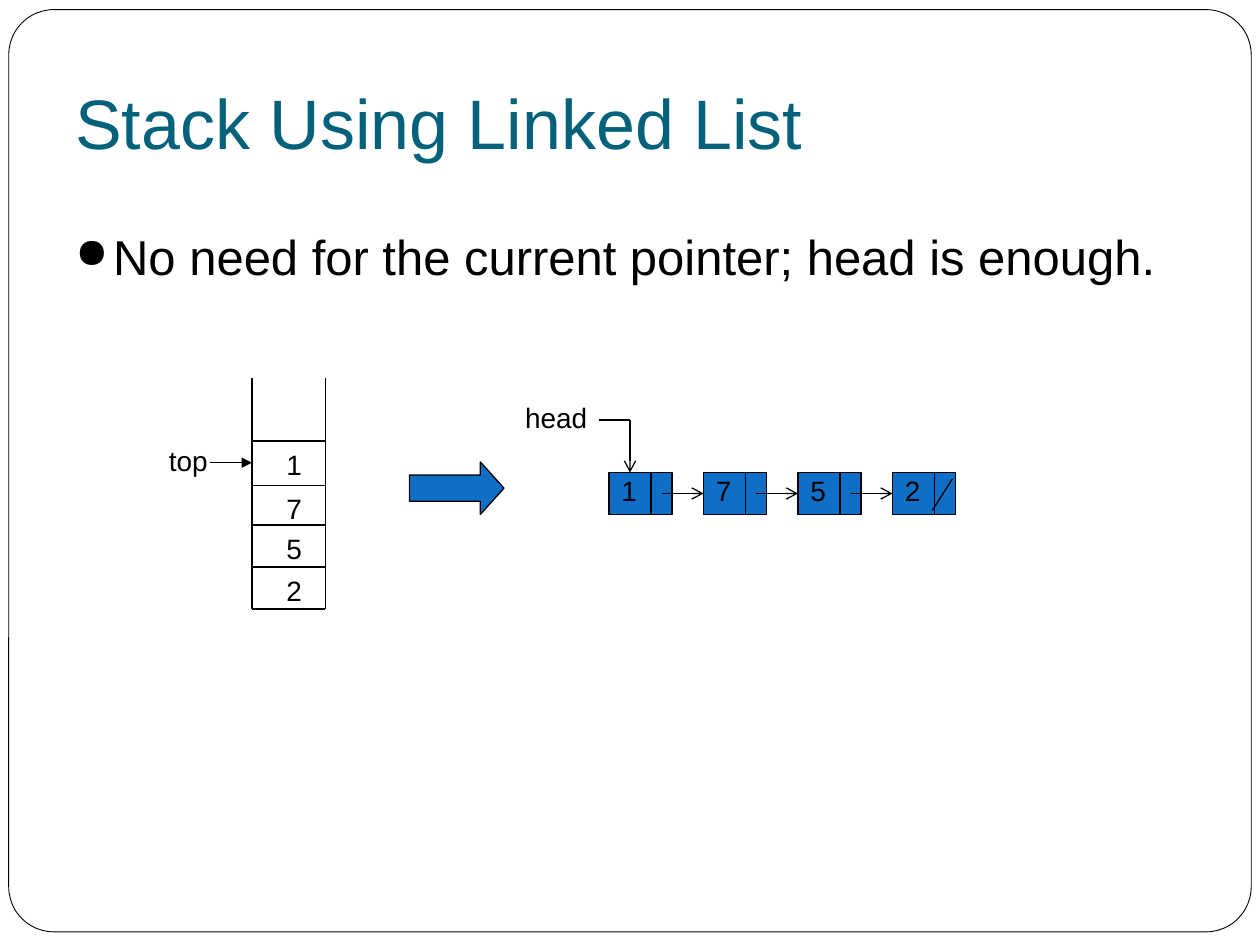
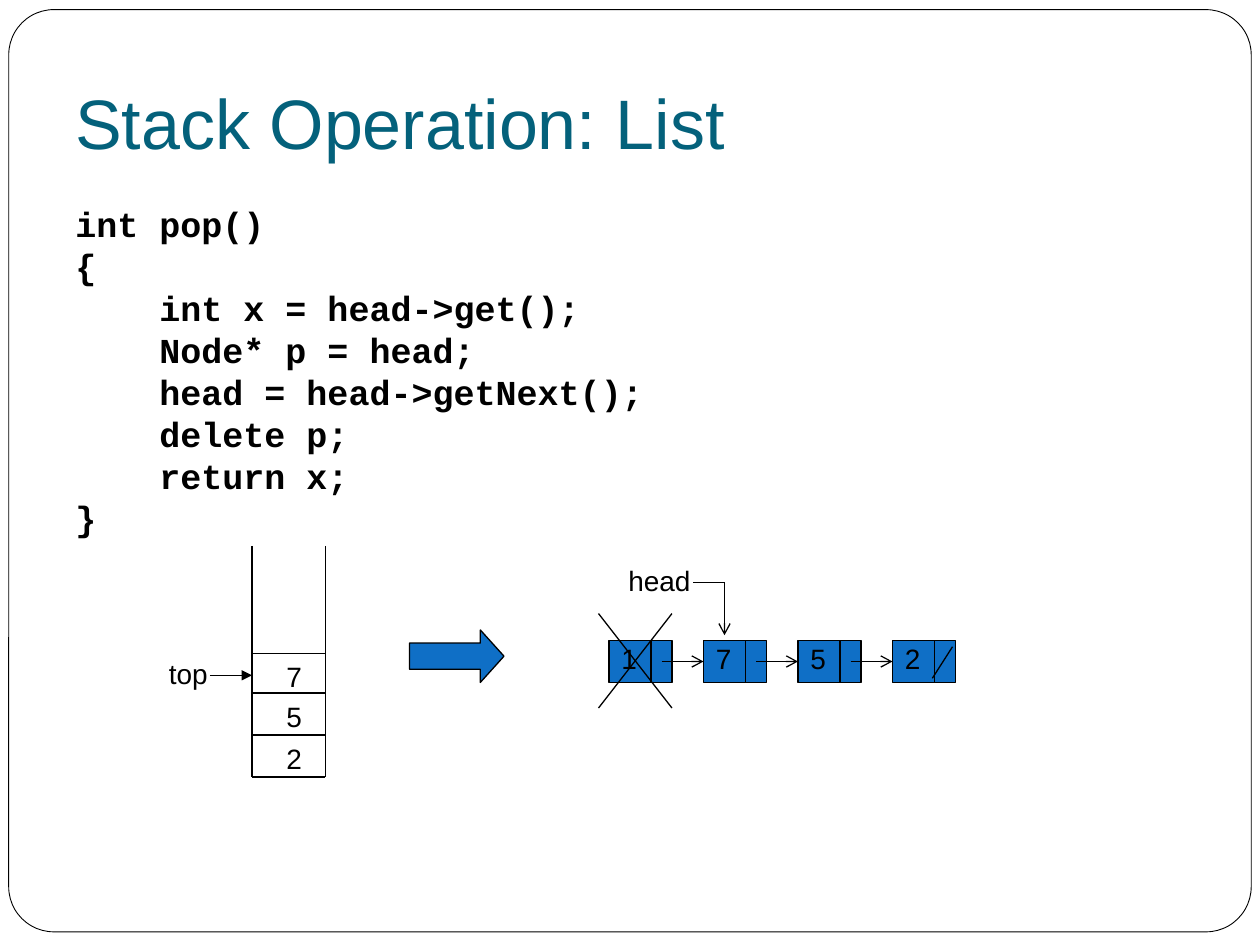
from lxml import etree
from pptx import Presentation
from pptx.dml.color import RGBColor
from pptx.enum.shapes import MSO_CONNECTOR, MSO_SHAPE
from pptx.enum.text import MSO_ANCHOR, PP_ALIGN
from pptx.oxml.ns import qn
from pptx.util import Pt

LINE = MSO_CONNECTOR.STRAIGHT
RECT = MSO_SHAPE.RECTANGLE
ROUND = MSO_SHAPE.ROUNDED_RECTANGLE
ARROW = MSO_SHAPE.RIGHT_ARROW
LEFT, CENTER = PP_ALIGN.LEFT, PP_ALIGN.CENTER
TOP, BOTTOM = MSO_ANCHOR.TOP, MSO_ANCHOR.BOTTOM

COLORS = {"ink": "000000", "paper": "FFFFFF", "title": "04617B", "node": "0F6FC6"}
SANS, MONO = "Arial", "Courier New"

# Stack cells: value and distance below the top of the stack
CELLS = [("1", 36), ("7", 61.5), ("5", 84), ("2", 108)]
VALUES = [value for value, _ in CELLS]
DEPTH = 132
WALLS = (144, 186)
# Linked list: first node, step from node to node, node size
FIRST, STEP, WIDE, HIGH = 348, 54, 36, 24

# Lines of code with their level of indent
CODE = [
    ("int pop()", 0),
    ("{", 0),
    ("int x = head->get();", 1),
    ("Node* p = head;", 1),
    ("head = head->getNext();", 1),
    ("delete p;", 1),
    ("return x;", 1),
    ("}", 0),
]


def color(name):
    return RGBColor.from_string(COLORS[name])


def write(para, text, size=16, font=SANS, ink="ink", bold=False,
          align=LEFT, before=0, margin=0, hang=0, bullet=None):
    """Put formatted text into a paragraph."""
    para.alignment = align
    para.space_before = Pt(before)
    props = para._p.get_or_add_pPr()
    props.set("marL", str(Pt(margin)))
    props.set("indent", str(Pt(-hang)))
    if bullet:
        tint = etree.SubElement(props, qn("a:buClr"))
        etree.SubElement(tint, qn("a:srgbClr"), val=COLORS[ink])
        etree.SubElement(props, qn("a:buSzPct"), val="85000")
        etree.SubElement(props, qn("a:buChar"), char=bullet)
    run = para.add_run()
    run.text = text
    run.font.size = Pt(size)
    run.font.name = font
    run.font.bold = bold
    run.font.color.rgb = color(ink)


class Deck:
    def __init__(self):
        self.prs = Presentation()
        self.prs.slide_width, self.prs.slide_height = Pt(720), Pt(540)
        self.slide = None

    # Basic elements
    def page(self, title):
        self.slide = self.prs.slides.add_slide(self.prs.slide_layouts[6])
        self.shape(ROUND, 5, 5.5, 710, 527, fill="paper", weight=0.5, adjust=[0.049])
        frame = self.box(36, 28.8, 648, 72, anchor=BOTTOM, foot=7.2)
        write(frame.paragraphs[0], title, size=40, ink="title")

    def shape(self, kind, x, y, w, h, fill="node", weight=0.75, adjust=()):
        shape = self.slide.shapes.add_shape(kind, Pt(x), Pt(y), Pt(w), Pt(h))
        shape.shadow.inherit = False
        shape.fill.solid()
        shape.fill.fore_color.rgb = color(fill)
        shape.line.color.rgb = color("ink")
        shape.line.width = Pt(weight)
        for i, value in enumerate(adjust):
            shape.adjustments[i] = value

    def line(self, x1, y1, x2, y2, tip=None):
        line = self.slide.shapes.add_connector(LINE, Pt(x1), Pt(y1), Pt(x2), Pt(y2))
        line.line.color.rgb = color("ink")
        line.line.width = Pt(0.75)
        if tip:
            etree.SubElement(line.line._get_or_add_ln(), qn("a:tailEnd"), type=tip)
        etree.SubElement(line._element.spPr, qn("a:effectLst"))

    def box(self, x, y, w, h, anchor=TOP, foot=3.6, wrap=True):
        frame = self.slide.shapes.add_textbox(Pt(x), Pt(y), Pt(w), Pt(h)).text_frame
        frame.word_wrap = wrap
        frame.vertical_anchor = anchor
        frame.margin_left = frame.margin_right = Pt(7.2)
        frame.margin_top, frame.margin_bottom = Pt(3.6), Pt(foot)
        return frame

    def label(self, text, x, y, w, align=CENTER):
        frame = self.box(x, y, w, 26.6, wrap=align == LEFT)
        write(frame.paragraphs[0], text, align=align)

    # Body text
    def point(self, text):
        frame = self.box(36, 126, 648, 48)
        write(frame.paragraphs[0], text, size=28, before=5.8,
              margin=21.6, hang=21.6, bullet="●")

    def code(self, lines):
        frame = self.box(36, 112, 648, 188)
        for i, (text, level) in enumerate(lines):
            para = frame.add_paragraph() if i else frame.paragraphs[0]
            write(para, text, size=20, font=MONO, bold=True, margin=48 * level)

    # Diagram parts
    def stack(self, top, cells):
        left, right = WALLS
        for x in WALLS:
            self.line(x, top, x, top + DEPTH)
        self.line(left, top + DEPTH, right, top + DEPTH)
        for value, drop in cells:
            self.line(left, top + drop, right, top + drop)
            self.label(value, 156.5, top + drop, 23)
        first = top + cells[0][1]
        self.label("top", 89.3, first - 2, 36.7)
        self.line(120, first + 12.4, left, first + 12.4, tip="triangle")

    def chain(self, y, values):
        for i, value in enumerate(values):
            x = FIRST + STEP * i
            self.shape(RECT, x, y, WIDE, HIGH)
            self.line(x + 24, y, x + 24, y + HIGH)
            self.label(value, x, y - 2.7, 20, align=LEFT)
            if i < len(values) - 1:
                self.line(x + 30, y + 12, x + STEP, y + 12, tip="arrow")
            else:
                self.line(x + 34.3, y + 3.6, x + 22.8, y + 21.6)

    def head(self, node, end, gap):
        x, y = FIRST + STEP * node + 12, end - 30
        self.label("head", x - 18 - gap, y - 14.4, 49.7)
        self.line(x - 18, y, x, y)
        self.line(x, y, x, end, tip="arrow")

    def cross(self, x, y, w, h):
        self.line(x + w, y, x, y + h)
        self.line(x, y, x + w, y + h)

    def figure(self, top, cells):
        self.stack(top, cells)
        self.shape(ARROW, 234, top + 48, 54, 30, adjust=[0.5, 0.45])
        self.chain(top + 54, VALUES)


def main():
    deck = Deck()

    # Stack as a linked list
    deck.page("Stack Using Linked List")
    deck.point("No need for the current pointer; head is enough.")
    deck.figure(216, CELLS)
    deck.head(0, end=270, gap=49)

    # Pop: the first node goes, head moves on
    deck.page("Stack Operation: List")
    deck.code(CODE)
    deck.figure(312, CELLS[1:])
    deck.head(1, end=363, gap=44)
    deck.cross(342, 350.6, 42, 54)

    deck.prs.save("out.pptx")


if __name__ == "__main__":
    main()
